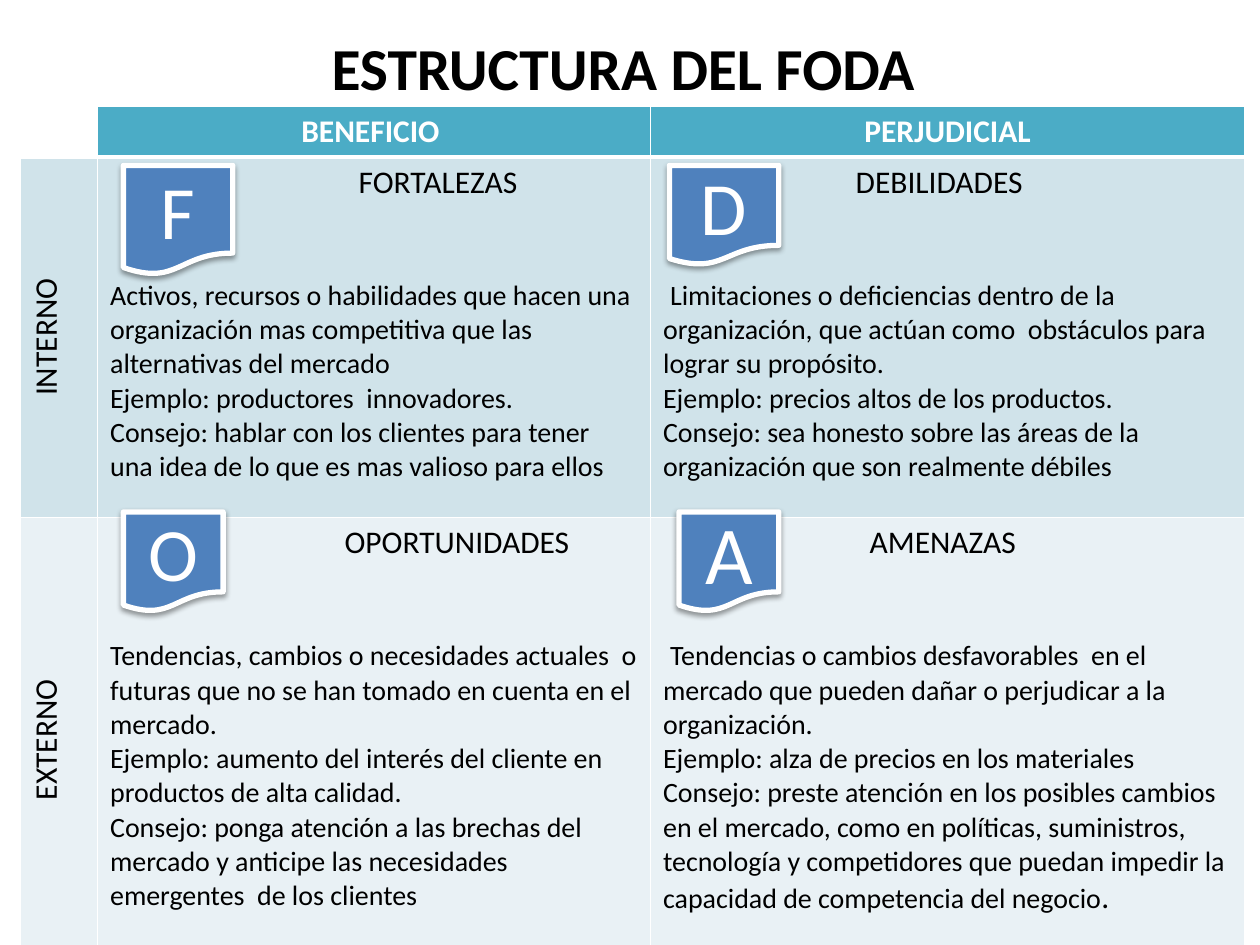
from pptx import Presentation
from pptx.dml.color import RGBColor
from pptx.enum.shapes import MSO_SHAPE
from pptx.enum.text import MSO_ANCHOR, PP_ALIGN
from pptx.oxml import parse_xml
from pptx.oxml.ns import nsdecls
from pptx.util import Pt

WHITE = RGBColor(0xFF, 0xFF, 0xFF)
BLACK = RGBColor(0, 0, 0)
TEAL = RGBColor(0x4B, 0xAC, 0xC6)
BLUE = RGBColor(0x4F, 0x81, 0xBD)
BAND_DARK = RGBColor(0xD0, 0xE3, 0xEA)
BAND_LIGHT = RGBColor(0xE9, 0xF1, 0xF5)


class Deck:
    """Draws styled elements on the current slide."""

    font = "Calibri"

    def __init__(self, width, height):
        self.prs = Presentation()
        self.prs.slide_width, self.prs.slide_height = Pt(width), Pt(height)
        self.s = self.prs.slides.add_slide(self.prs.slide_layouts[6])

    def run(self, p, text, size, color=BLACK, bold=False):
        r = p.add_run()
        r.text = text
        r.font.name, r.font.size, r.font.bold = self.font, Pt(size), bold
        r.font.color.rgb = color

    def centered(self, tf, text, size, color=BLACK, bold=False):
        p = tf.paragraphs[0]
        p.alignment = PP_ALIGN.CENTER
        self.run(p, text, size, color, bold)

    def indent(self, p, left, first=0):
        pPr = p._p.get_or_add_pPr()
        pPr.set("marL", str(Pt(left)))
        pPr.set("indent", str(Pt(first)))

    def title(self, box, text):
        tf = self.s.shapes.add_textbox(*map(Pt, box)).text_frame
        tf.word_wrap = True
        tf.vertical_anchor = MSO_ANCHOR.MIDDLE
        self.centered(tf, text, 34, bold=True)

    def table(self, left, top, widths, heights):
        frame = self.s.shapes.add_table(
            len(heights), len(widths), Pt(left), Pt(top), Pt(sum(widths)), Pt(sum(heights)))
        for col, width in zip(frame.table.columns, widths):
            col.width = Pt(width)
        for row, height in zip(frame.table.rows, heights):
            row.height = Pt(height)
        return frame.table

    def cell(self, cell, fill, bottom=1):
        cell.fill.solid()
        cell.fill.fore_color.rgb = fill
        tcPr = cell._tc.get_or_add_tcPr()
        for i, (side, width) in enumerate(zip("LRTB", (1, 1, 1, bottom))):
            tcPr.insert(i, parse_xml(
                f'<a:ln{side} {nsdecls("a")} w="{Pt(width)}"><a:solidFill>'
                f'<a:srgbClr val="{WHITE}"/></a:solidFill></a:ln{side}>'))

    def side_label(self, cell, text):
        cell._tc.get_or_add_tcPr().set("vert", "vert270")
        self.centered(cell.text_frame, text, 18)

    def quadrant(self, cell, heading, left, first, lines, end=""):
        tf = cell.text_frame
        p = tf.paragraphs[0]
        self.indent(p, left)
        p.space_after = Pt(44)
        self.run(p, heading, 18)
        for i, line in enumerate(lines):
            p = tf.add_paragraph()
            self.indent(p, 0, 0 if i else first)
            self.run(p, line, 16)
        if end:
            self.run(p, end, 18)

    def badge(self, box, letter, size):
        sp = self.s.shapes.add_shape(MSO_SHAPE.FLOWCHART_DOCUMENT, *map(Pt, box))
        sp.fill.solid()
        sp.fill.fore_color.rgb = BLUE
        sp.line.color.rgb, sp.line.width = WHITE, Pt(3)
        sp._element.spPr.append(parse_xml(
            f'<a:effectLst {nsdecls("a")}><a:outerShdw blurRad="{Pt(3.1)}" dist="{Pt(1.6)}" '
            f'dir="5400000" rotWithShape="0"><a:srgbClr val="{BLACK}"><a:alpha val="38000"/>'
            '</a:srgbClr></a:outerShdw></a:effectLst>'))
        tf = sp.text_frame
        tf.vertical_anchor = MSO_ANCHOR.MIDDLE
        self.centered(tf, letter, size, WHITE)


d = Deck(720, 540)
d.title((36, 9.5, 648, 57), "ESTRUCTURA DEL FODA ")

table = d.table(11.75, 60.5, (44, 316, 339.5), (29.25, 206, 250))
for i, fill in enumerate((TEAL, BAND_DARK, BAND_LIGHT)):
    for j in range(3):
        d.cell(table.cell(i, j), fill if i or j else WHITE, 1 if i else 3)

for j, text in enumerate(("BENEFICIO ", "PERJUDICIAL"), 1):
    d.centered(table.cell(0, j).text_frame, text, 18, WHITE, True)
for i, text in enumerate(("INTERNO", "EXTERNO "), 1):
    d.side_label(table.cell(i, 0), text)

quadrants = {
    (1, 1): ("FORTALEZAS", 142, 0, (
        "Activos, recursos o habilidades que hacen una organización mas competitiva "
        "que las alternativas del mercado",
        "Ejemplo: productores  innovadores.",
        "Consejo: hablar con los clientes para tener una idea de lo que es mas valioso para ellos")),
    (1, 2): ("DEBILIDADES", 110, 4, (
        "Limitaciones o deficiencias dentro de la organización, que actúan como  obstáculos "
        "para lograr su propósito.",
        "Ejemplo: precios altos de los productos.",
        "Consejo: sea honesto sobre las áreas de la organización que son realmente débiles")),
    (2, 1): ("OPORTUNIDADES", 134, 0, (
        "Tendencias, cambios o necesidades actuales  o futuras que no se han tomado en cuenta "
        "en el mercado.",
        "Ejemplo: aumento del interés del cliente en productos de alta calidad.",
        "Consejo: ponga atención a las brechas del mercado y anticipe las necesidades "
        "emergentes  de los clientes")),
    (2, 2): ("AMENAZAS", 118, 4, (
        "Tendencias o cambios desfavorables  en el mercado que pueden dañar o perjudicar "
        "a la organización.",
        "Ejemplo: alza de precios en los materiales",
        "Consejo: preste atención en los posibles cambios en el mercado, como en políticas, "
        "suministros, tecnología y competidores que puedan impedir la capacidad de competencia "
        "del negocio"), "."),
}
for (i, j), content in quadrants.items():
    d.quadrant(table.cell(i, j), *content)

for letter, size, box in (
        ("F", 43, (70.5, 94.5, 62.5, 62.5)),
        ("D", 43, (382.5, 94.5, 62.5, 57)),
        ("O", 43, (70.5, 292.5, 57, 57)),
        ("A", 47, (388, 292.5, 57, 57))):
    d.badge(box, letter, size)

d.prs.save("out.pptx")
